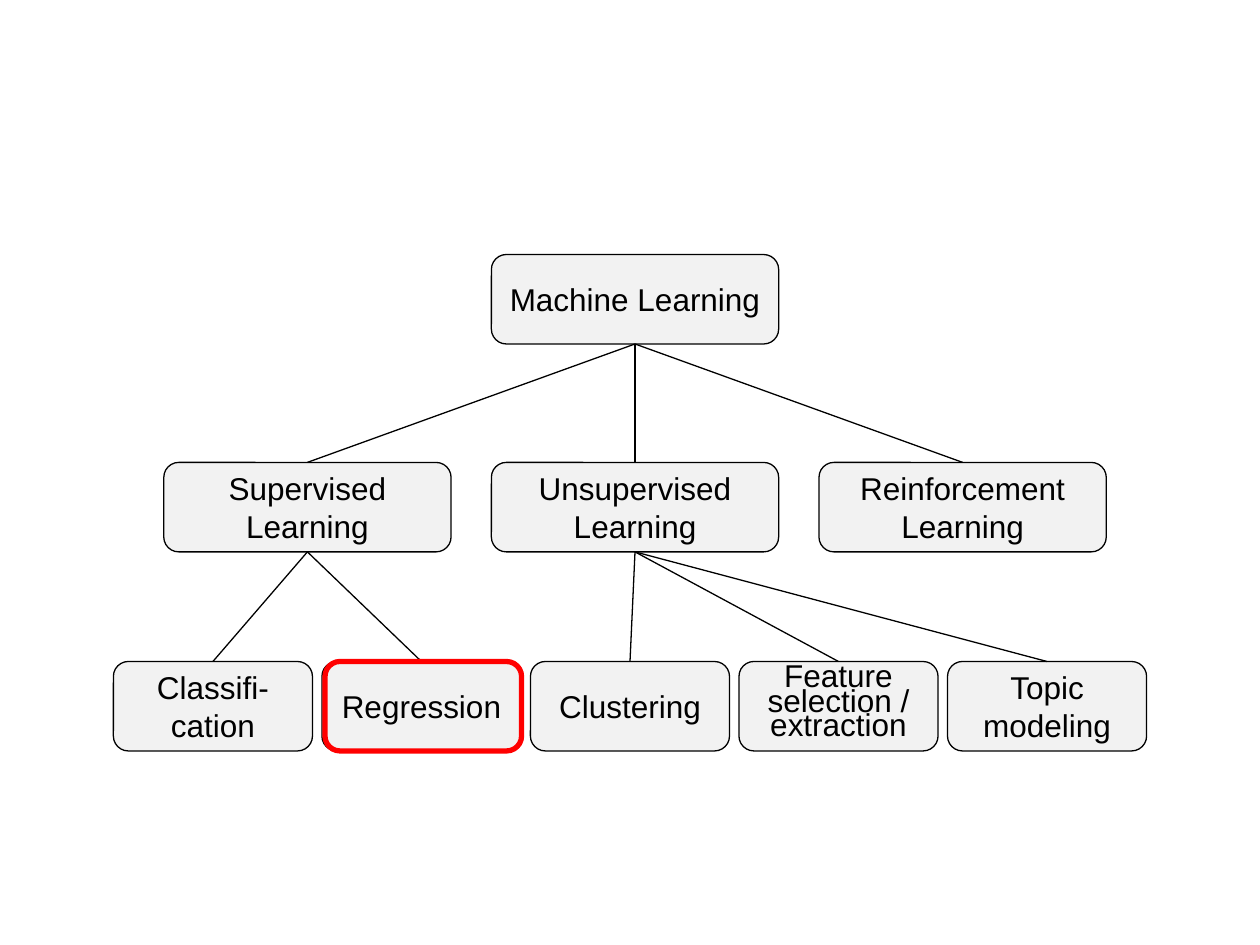
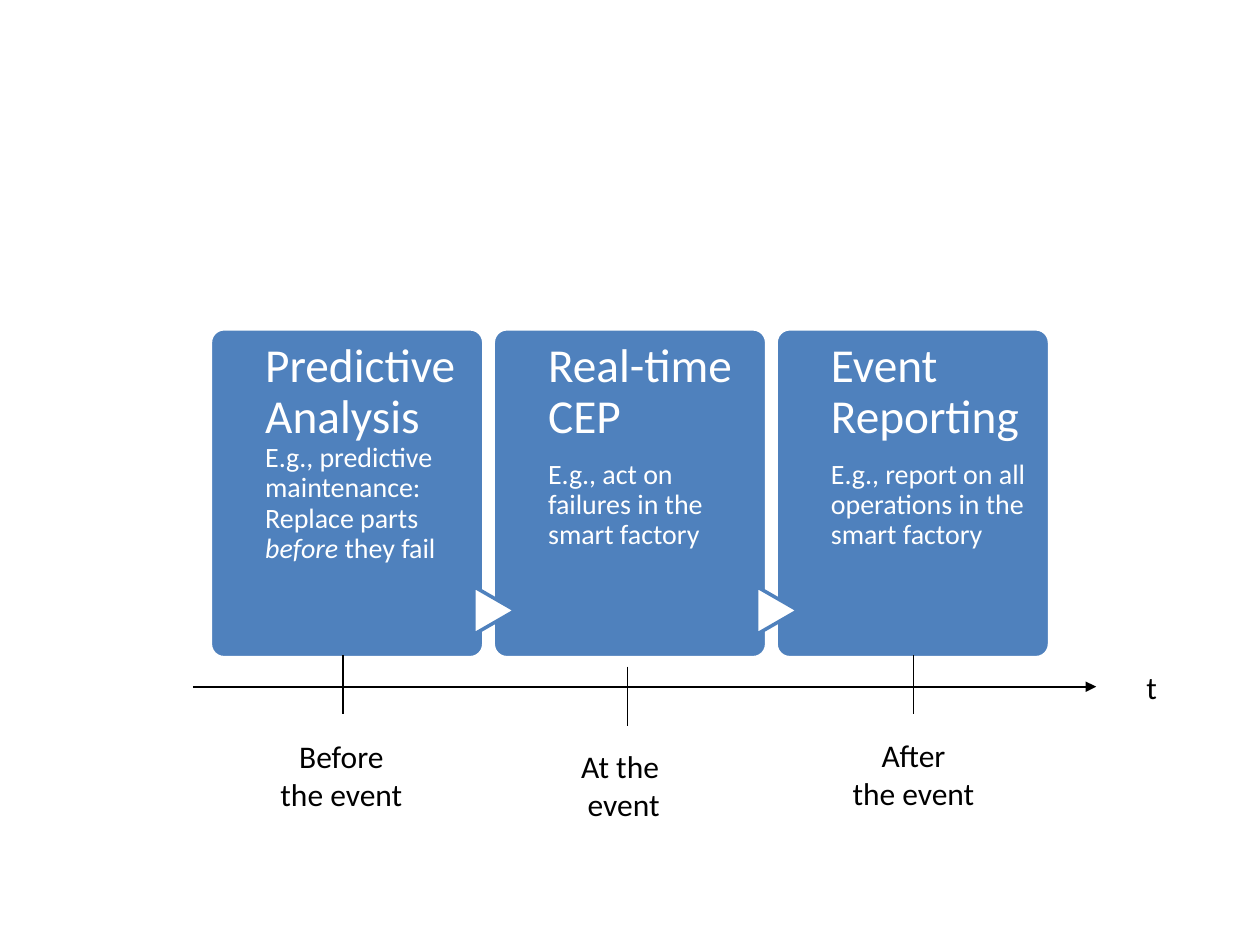
from pptx import Presentation
from pptx.dml.color import RGBColor
from pptx.enum.shapes import MSO_CONNECTOR, MSO_SHAPE
from pptx.enum.text import MSO_ANCHOR, MSO_AUTO_SIZE, PP_ALIGN
from pptx.oxml.ns import qn
from pptx.util import Inches, Pt
from lxml.etree import SubElement

BLACK, WHITE, GREY, BLUE, RED = "000000", "FFFFFF", "F2F2F2", "4F81BD", "FF0000"
TREE_FONT, TIMELINE_FONT = "Arial", "Calibri"

NODE_HEIGHT = 0.71
BRANCHES = [
    ("Supervised Learning", ["Classifi-cation", "Regression"]),
    ("Unsupervised Learning", ["Clustering", "Feature selection / extraction", "Topic modeling"]),
    ("Reinforcement Learning", []),
]
TIGHT_LEAF = "Feature selection / extraction"

CARD_TOP, CARD_HEIGHT = 2.61, 2.61
# Each card: heading, runs of the example as (text, italic), same paragraph or not
CARDS = [
    ("Predictive Analysis", [("E.g., predictive maintenance: Replace parts ", False),
                             ("before ", True), ("they fail", False)], True),
    ("Real-time CEP", [("E.g., act on failures in the smart factory", False)], False),
    ("Event Reporting", [("E.g., report on all operations in the smart factory", False)], False),
]
TICKS = [(2.72, 5.2), (4.98, 5.29), (7.25, 5.2)]
TIME_LABELS = [
    (2.11, 5.8, 1.2, ["Before", "the event"]),
    (4.5, 5.88, 0.9, ["At the ", "event"]),
    (6.65, 5.79, 1.2, ["After", "the event"]),
]


def color(hex_string):
    return RGBColor.from_string(hex_string)


def style_font(font, name, size, hex_string):
    font.name = name
    font.size = Pt(size)
    font.color.rgb = color(hex_string)


def add_box(slide, preset, left, top, width, height, fill, line, line_width):
    shape = slide.shapes.add_shape(
        preset, Inches(left), Inches(top), Inches(width), Inches(height))
    shape.shadow.inherit = False
    if fill:
        shape.fill.solid()
        shape.fill.fore_color.rgb = color(fill)
    else:
        shape.fill.background()
    shape.line.color.rgb = color(line)
    shape.line.width = Pt(line_width)
    return shape


def add_line(slide, start=(0, 0), end=(0, 0), width=1):
    connector = slide.shapes.add_connector(
        MSO_CONNECTOR.STRAIGHT, *(Inches(value) for value in (*start, *end)))
    connector.line.color.rgb = color(BLACK)
    connector.line.width = Pt(width)
    SubElement(connector.element.spPr, qn("a:effectLst"))
    return connector


def add_arrowhead(connector):
    outline = connector.line.fill._xPr
    SubElement(outline, qn("a:tailEnd"), type="triangle")


def add_node(slide, text, left, top, width):
    node = add_box(slide, MSO_SHAPE.ROUNDED_RECTANGLE, left, top, width, NODE_HEIGHT,
                   GREY, BLACK, 0.75)
    frame = node.text_frame
    frame.word_wrap = True
    frame.vertical_anchor = MSO_ANCHOR.MIDDLE
    paragraph = frame.paragraphs[0]
    paragraph.text = text
    paragraph.alignment = PP_ALIGN.CENTER
    style_font(paragraph.font, TREE_FONT, 18, BLACK)
    if text == TIGHT_LEAF:
        paragraph.line_spacing = Pt(14)
    return node


def join_to_parent(slide, child, parent):
    connector = add_line(slide, width=0.75)
    connector.begin_connect(child, 0)
    connector.end_connect(parent, 2)


def build_learning_tree(slide):
    links = []
    root = add_node(slide, "Machine Learning", 3.9, 2.02, 2.28)
    leaf_left = 0.9
    for index, (branch_name, leaves) in enumerate(BRANCHES):
        branch = add_node(slide, branch_name, 1.3 + 2.6 * index, 3.67, 2.28)
        links.append((branch, root))
        for leaf_name in leaves:
            leaf = add_node(slide, leaf_name, leaf_left, 5.25, 1.58)
            links.append((leaf, branch))
            leaf_left += 1.655
    for child, parent in links:
        join_to_parent(slide, child, parent)
    # Highlight around Regression
    add_box(slide, MSO_SHAPE.ROUNDED_RECTANGLE, 2.58, 5.25, 1.56, NODE_HEIGHT, None, RED, 3)


def add_card_text(slide, left, heading, example, same_paragraph):
    box = slide.shapes.add_textbox(
        Inches(left), Inches(CARD_TOP), Inches(1.62), Inches(CARD_HEIGHT))
    frame = box.text_frame
    frame.word_wrap = True
    frame.margin_left = frame.margin_right = frame.margin_bottom = 0
    frame.margin_top = Inches(0.1)
    paragraph = frame.paragraphs[0]
    run = paragraph.add_run()
    run.text = heading
    style_font(run.font, TIMELINE_FONT, 27, WHITE)
    if same_paragraph:
        paragraph.add_line_break()
    else:
        paragraph = frame.add_paragraph()
    for text, italic in example:
        run = paragraph.add_run()
        run.text = text
        style_font(run.font, TIMELINE_FONT, 16, WHITE)
        run.font.italic = italic
    for paragraph in frame.paragraphs:
        paragraph.line_spacing = 0.9
        paragraph.space_after = Pt(9.5)


def add_card(slide, index, heading, example, same_paragraph):
    left = 1.67 + 2.245 * index
    card = add_box(slide, MSO_SHAPE.ROUNDED_RECTANGLE, left, CARD_TOP, 2.17, CARD_HEIGHT,
                   BLUE, WHITE, 2)
    card.adjustments[0] = 0.05
    if index > 0:
        pointer = add_box(slide, MSO_SHAPE.FLOWCHART_EXTRACT, left - 0.18, 4.68, 0.38, 0.33,
                          WHITE, BLUE, 2)
        pointer.rotation = 90
    add_card_text(slide, left + 0.435, heading, example, same_paragraph)


def add_label(slide, left, top, width, height, lines, alignment):
    box = slide.shapes.add_textbox(Inches(left), Inches(top), Inches(width), Inches(height))
    frame = box.text_frame
    frame.word_wrap = False
    frame.auto_size = MSO_AUTO_SIZE.SHAPE_TO_FIT_TEXT
    frame.text = "\n".join(lines)
    for paragraph in frame.paragraphs:
        paragraph.alignment = alignment
        style_font(paragraph.font, TIMELINE_FONT, 18, BLACK)


def build_event_timeline(slide):
    for index, card in enumerate(CARDS):
        add_card(slide, index, *card)
    add_arrowhead(add_line(slide, (1.53, 5.45), (8.7, 5.45)))
    for x, top in TICKS:
        add_line(slide, (x, top), (x, top + 0.47))
    for left, top, width, lines in TIME_LABELS:
        add_label(slide, left, top, width, 0.71, lines, PP_ALIGN.CENTER)
    add_label(slide, 9, 5.25, 0.28, 0.4, ["t"], PP_ALIGN.LEFT)


def main():
    presentation = Presentation()
    presentation.slide_width = Inches(10)
    presentation.slide_height = Inches(7.5)
    blank_layout = presentation.slide_layouts[6]
    for build in (build_learning_tree, build_event_timeline):
        build(presentation.slides.add_slide(blank_layout))
    presentation.save("out.pptx")


if __name__ == "__main__":
    main()
